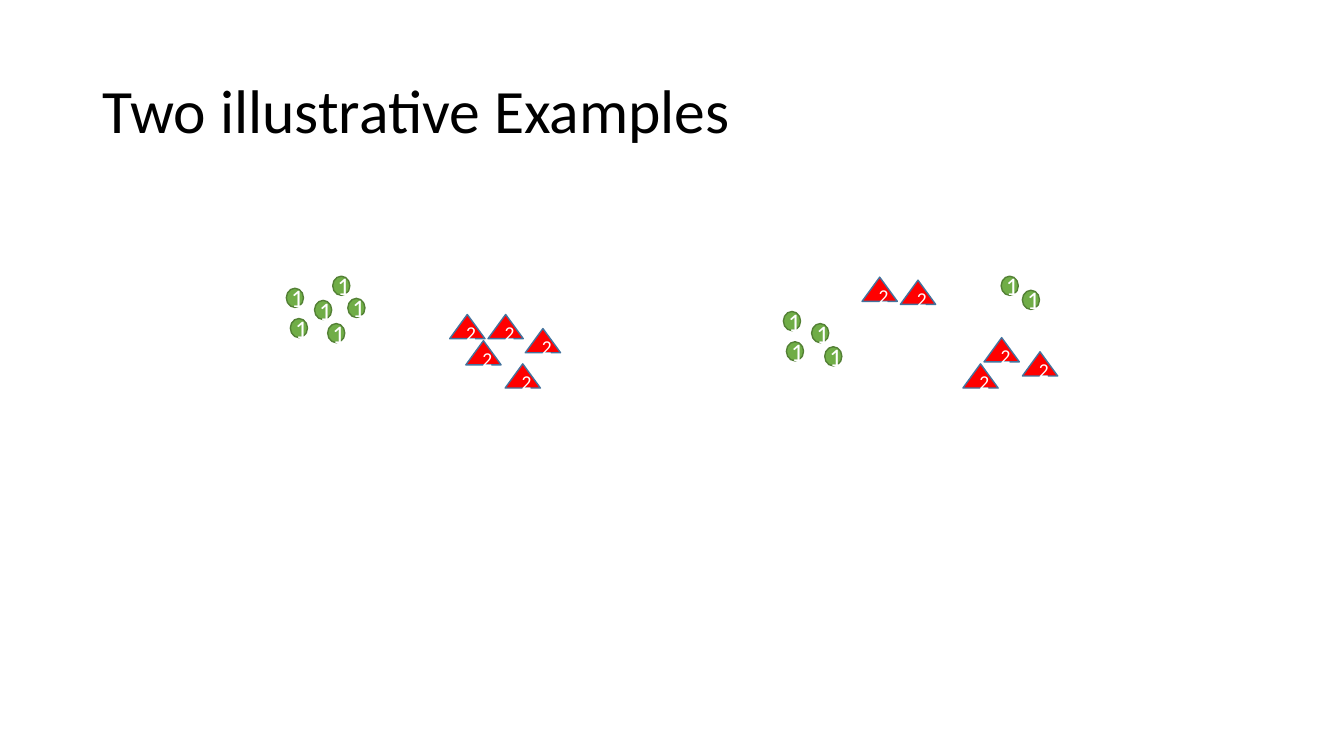
from pptx import Presentation
from pptx.dml.color import RGBColor
from pptx.enum.shapes import MSO_SHAPE as Preset
from pptx.enum.text import MSO_ANCHOR as Anchor, PP_ALIGN as Align
from pptx.util import Inches, Pt

FONT = "Calibri"
BLACK = RGBColor(0x00, 0x00, 0x00)
WHITE = RGBColor(0xFF, 0xFF, 0xFF)
GREEN = RGBColor(0x70, 0xAD, 0x47)
DARK_GREEN = RGBColor(0x53, 0x80, 0x35)
RED = RGBColor(0xFF, 0x00, 0x00)
BLUE = RGBColor(0x43, 0x73, 0x9E)

# Preset, label, width, height, font size, fill, outline
CLASS_ONE = (Preset.OVAL, "1", 0.17, 0.19, 18, GREEN, DARK_GREEN)
CLASS_TWO = (Preset.ISOSCELES_TRIANGLE, "2", 0.35, 0.24, 14, RED, BLUE)

# Left and top of every point, in inches
MIXED_ONES = [(7.77, 3.09), (7.8, 3.39), (9.93, 2.74),
              (8.05, 3.21), (10.14, 2.88), (8.18, 3.44)]
MIXED_TWOS = [(10.14, 3.49), (9.76, 3.35), (8.93, 2.78),
              (9.55, 3.61), (8.55, 2.75)]
SEPARATE_ONES = [(2.84, 2.86), (2.88, 3.16), (3.45, 2.96),
                 (3.12, 2.98), (3.3, 2.74), (3.25, 3.21)]
SEPARATE_TWOS = [(5.21, 3.26), (4.84, 3.12), (4.46, 3.12),
                 (4.62, 3.38), (5.01, 3.61)]


def format_title(title, text):
    title.left, title.top = Inches(0.92), Inches(0.4)
    title.width, title.height = Inches(11.5), Inches(1.45)
    frame = title.text_frame
    frame.text = text
    frame.vertical_anchor = Anchor.MIDDLE
    paragraph = frame.paragraphs[0]
    paragraph.alignment = Align.LEFT
    paragraph.line_spacing = 0.9
    set_font(paragraph, 44, BLACK)


def set_font(paragraph, size, color):
    paragraph.font.name = FONT
    paragraph.font.size = Pt(size)
    paragraph.font.color.rgb = color


def add_points(group, style, positions):
    preset, label, width, height, size, fill, outline = style
    for left, top in positions:
        shape = group.shapes.add_shape(
            preset, Inches(left), Inches(top), Inches(width), Inches(height))
        shape.shadow.inherit = False
        shape.fill.solid()
        shape.fill.fore_color.rgb = fill
        shape.line.color.rgb = outline
        shape.line.width = Pt(1)
        frame = shape.text_frame
        frame.text = label
        frame.vertical_anchor = Anchor.MIDDLE
        paragraph = frame.paragraphs[0]
        paragraph.alignment = Align.CENTER
        set_font(paragraph, size, WHITE)


def add_example(slide, ones, twos):
    group = slide.shapes.add_group_shape()
    add_points(group, CLASS_ONE, ones)
    add_points(group, CLASS_TWO, twos)


def main():
    presentation = Presentation()
    presentation.slide_width = Inches(13.33)
    presentation.slide_height = Inches(7.5)
    slide = presentation.slides.add_slide(presentation.slide_layouts[5])
    format_title(slide.shapes.title, "Two illustrative Examples")
    add_example(slide, MIXED_ONES, MIXED_TWOS)
    add_example(slide, SEPARATE_ONES, SEPARATE_TWOS)
    presentation.save("out.pptx")


if __name__ == "__main__":
    main()
